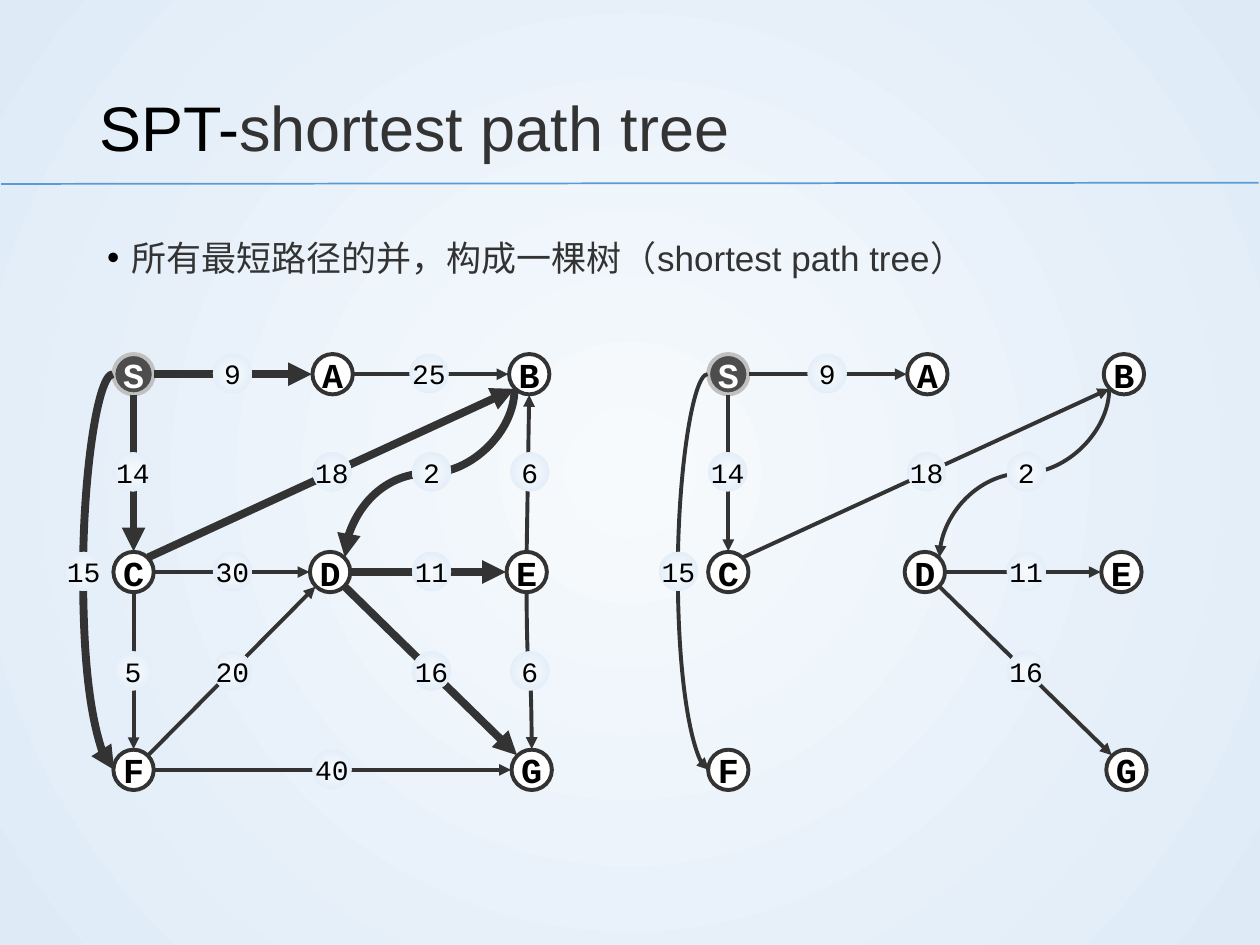
from math import cos, radians, sin

from lxml.etree import SubElement
from pptx import Presentation
from pptx.dml.color import RGBColor
from pptx.enum.shapes import MSO_CONNECTOR as CONNECTOR, MSO_SHAPE as SHAPE
from pptx.enum.text import MSO_ANCHOR as ANCHOR, PP_ALIGN as ALIGN
from pptx.oxml.ns import qn
from pptx.util import Inches, Pt

INK, BLACK, WHITE = "333333", "000000", "FFFFFF"
NODE_SIZE, LABEL_SIZE, SITE_RADIUS = 0.32, 0.31, 0.165
TOP, LEFT, BOTTOM_LEFT, BOTTOM, BOTTOM_RIGHT, RIGHT, TOP_RIGHT = 0, 2, 3, 4, 5, 6, 7
TOP_LEFT = 1

NODES = {
    "S": (0.9, 2.81), "A": (2.48, 2.81), "B": (4.04, 2.81),
    "C": (0.9, 4.38), "D": (2.46, 4.38), "E": (4.02, 4.38),
    "F": (0.9, 5.95), "G": (4.06, 5.95),
}
# start, its site, end, its site, in the tree, cost, label left, label top
EDGES = [
    ("S", LEFT, "F", LEFT, True, "15", 0.51, 4.38),
    ("S", BOTTOM, "C", TOP, True, "14", 0.9, 3.59),
    ("C", BOTTOM, "F", TOP, False, "5", 0.9, 5.17),
    ("E", BOTTOM, "G", TOP, False, "6", 4.05, 5.17),
    ("D", BOTTOM_RIGHT, "G", TOP_LEFT, True, "16", 3.27, 5.17),
    ("B", BOTTOM_LEFT, "D", TOP_RIGHT, True, "2", 3.27, 3.59),
    ("C", TOP_RIGHT, "B", BOTTOM_LEFT, True, "18", 2.48, 3.59),
    ("C", RIGHT, "D", LEFT, False, "30", 1.69, 4.38),
    ("F", TOP_RIGHT, "D", BOTTOM_LEFT, False, "20", 1.69, 5.17),
    ("E", TOP, "B", BOTTOM, False, "6", 4.05, 3.59),
    ("F", RIGHT, "G", LEFT, False, "40", 2.48, 5.95),
    ("A", RIGHT, "B", LEFT, False, "25", 3.25, 2.81),
    ("S", RIGHT, "A", LEFT, True, "9", 1.69, 2.81),
    ("D", RIGHT, "E", LEFT, True, "11", 3.27, 4.38),
]
# rotation in degrees and bend of the curved edges
CURVES = {("S", "F"): (180, -24), ("E", "G"): (90, 0.5), ("B", "D"): (90, 0.5)}


def color(value):
    return RGBColor.from_string(value)


def add_run(paragraph, text, size, value, font="Arial", bold=False):
    run = paragraph.add_run()
    run.text = text
    run.font.name = font
    run.font.size = Pt(size)
    run.font.bold = bold
    run.font.color.rgb = color(value)


presentation = Presentation()
presentation.slide_width, presentation.slide_height = Inches(10), Inches(7.5)
slide = presentation.slides.add_slide(presentation.slide_layouts[6])
shapes = slide.shapes
gradients = [(slide.background.fill, slide.element)]

rule = shapes.add_connector(CONNECTOR.STRAIGHT, Inches(0.01), Inches(1.46),
                            Inches(9.99), Inches(1.45))
rule.line.color.rgb = color("5B9BD5")
rule.line.width = Pt(1)
SubElement(rule.element.spPr, qn("a:effectLst"))

title = shapes.add_textbox(Inches(0.69), Inches(0.4), Inches(8.62), Inches(1.08))
title.text_frame.word_wrap = True
title.text_frame.vertical_anchor = ANCHOR.MIDDLE
paragraph = title.text_frame.paragraphs[0]
paragraph.line_spacing = 1.2
add_run(paragraph, "SPT-", 36, BLACK)
add_run(paragraph, "shortest path tree", 36, INK)

body = shapes.add_textbox(Inches(0.69), Inches(1.63), Inches(8.62), Inches(5.13))
frame = body.text_frame
frame.word_wrap = True
frame.margin_left, frame.margin_right = Inches(0.16), 0
frame.margin_top = frame.margin_bottom = Inches(0.08)
paragraph = frame.paragraphs[0]
paragraph.line_spacing = 1.5
paragraph.space_before, paragraph.space_after = Pt(6), Pt(2)
add_run(paragraph, "所有最短路径的并，构成一棵树（shortest path tree）", 20, INK)
properties = paragraph._p.get_or_add_pPr()
properties.set("marL", str(Inches(0.19)))
properties.set("indent", str(-Inches(0.19)))
bullet_color = SubElement(properties, qn("a:buClr"))
SubElement(bullet_color, qn("a:srgbClr"), val=BLACK)
SubElement(properties, qn("a:buFont"), typeface="Arial")
SubElement(properties, qn("a:buChar"), char="•")

for offset, tree_only in ((0, False), (4.72, True)):
    circles = {}
    for name, (left, top) in NODES.items():
        is_source = name == "S"
        circle = shapes.add_shape(SHAPE.OVAL, Inches(left + offset), Inches(top),
                                  Inches(NODE_SIZE), Inches(NODE_SIZE))
        circle.shadow.inherit = False
        circle.fill.solid()
        circle.fill.fore_color.rgb = color("4D4D4D" if is_source else WHITE)
        circle.line.color.rgb = color("C0C0C0" if is_source else INK)
        circle.line.width = Pt(2.25)
        circles[name] = circle
        add_run(circle.text_frame.paragraphs[0], name, 20,
                WHITE if is_source else BLACK, "Courier New", True)

    labels = []
    for start, start_site, end, end_site, in_tree, cost, left, top in EDGES:
        if tree_only and not in_tree:
            continue
        points = []
        for name, site in ((start, start_site), (end, end_site)):
            angle = radians(90 + 45 * site)
            points.append((NODES[name][0] + offset + NODE_SIZE / 2 + SITE_RADIUS * cos(angle),
                           NODES[name][1] + NODE_SIZE / 2 - SITE_RADIUS * sin(angle)))
        (x1, y1), (x2, y2) = points
        curve = CURVES.get((start, end))
        if curve:
            rotation, bend = curve
            # A curve that leaves and returns on one side needs a width to scale its bend.
            dx, dy = x2 - x1 + (0.01 if rotation == 180 else 0), y2 - y1
            middle_x, middle_y = x1 + dx / 2, y1 + dy / 2
            run_x, run_y = (dy, -dx) if rotation == 90 else (-dx, -dy)
            x1, x2 = middle_x - run_x / 2, middle_x + run_x / 2
            y1, y2 = middle_y - run_y / 2, middle_y + run_y / 2
        edge = shapes.add_connector(CONNECTOR.CURVE if curve else CONNECTOR.STRAIGHT,
                                    Inches(x1), Inches(y1), Inches(x2), Inches(y2))
        if curve:
            edge.element.spPr.find(qn("a:xfrm")).set("rot", str(rotation * 60000))
            guides = edge.element.spPr.find(qn("a:prstGeom")).find(qn("a:avLst"))
            SubElement(guides, qn("a:gd"), name="adj1", fmla=f"val {round(bend * 100000)}")
        ends = edge.element.find(".//" + qn("p:cNvCxnSpPr"))
        for tag, name, site in (("a:stCxn", start, start_site), ("a:endCxn", end, end_site)):
            SubElement(ends, qn(tag), id=str(circles[name].shape_id), idx=str(site))
        edge.line.color.rgb = color(INK)
        edge.line.width = Pt(4.5 if in_tree and not tree_only else 2.25)
        SubElement(edge.line._get_or_add_ln(), qn("a:tailEnd"), type="triangle")
        SubElement(edge.element.spPr, qn("a:effectLst"))

        label = shapes.add_shape(SHAPE.OVAL, Inches(left + offset), Inches(top),
                                 Inches(LABEL_SIZE), Inches(LABEL_SIZE))
        label.shadow.inherit = False
        label.line.fill.background()
        add_run(label.text_frame.paragraphs[0], cost, 16, BLACK, "Courier New")
        labels.append(label)
        gradients.append((label.fill, label.element.spPr))

    for shape in [*circles.values(), *labels]:
        frame = shape.text_frame
        frame.word_wrap = False
        frame.vertical_anchor = ANCHOR.MIDDLE
        frame.margin_left = frame.margin_right = frame.margin_top = frame.margin_bottom = 0
        frame.paragraphs[0].alignment = ALIGN.CENTER

for fill, owner in gradients:
    fill.gradient()
    for stop, value in zip(fill.gradient_stops, ("F7FAFD", "DEEBF7")):
        stop.color.rgb = color(value)
    gradient = next(owner.iter(qn("a:gradFill")))
    gradient.remove(gradient.find(qn("a:lin")))
    center = SubElement(gradient, qn("a:path"), {"path": "circle"})
    SubElement(center, qn("a:fillToRect"), l="50000", t="50000", r="50000", b="50000")

presentation.save("out.pptx")
